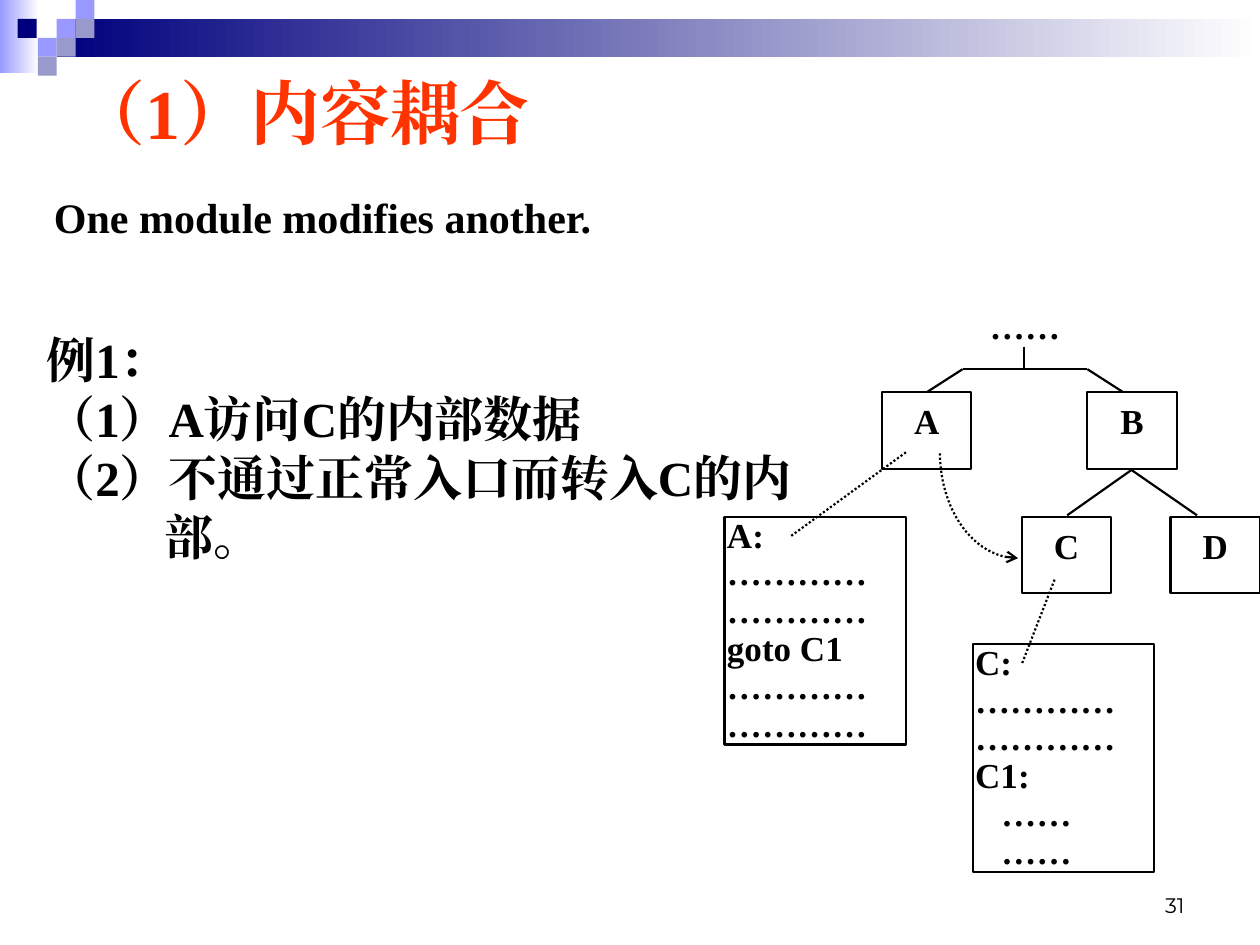
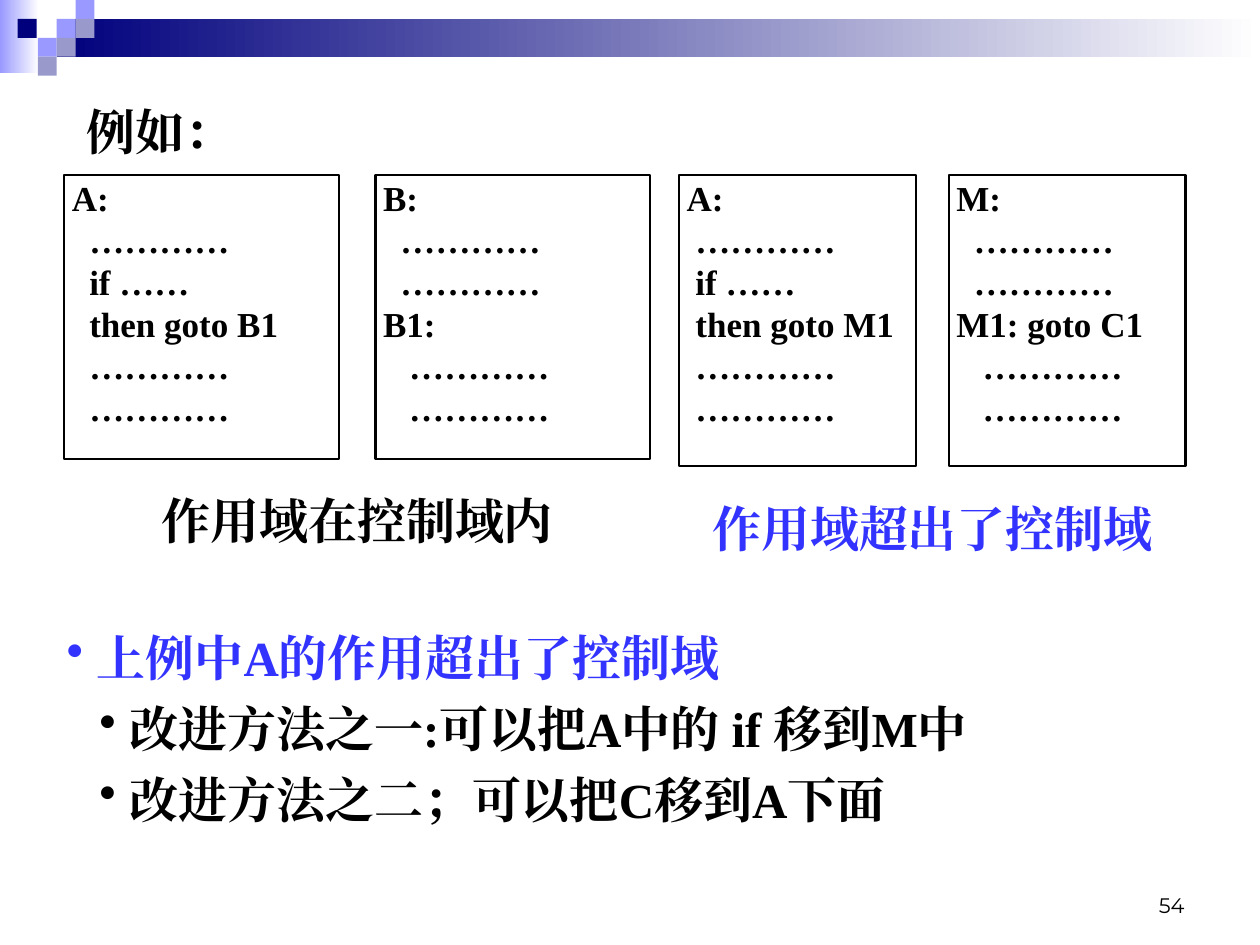
from lxml import etree
from pptx import Presentation
from pptx.dml.color import RGBColor
from pptx.enum.dml import MSO_LINE
from pptx.enum.shapes import MSO_CONNECTOR, MSO_SHAPE
from pptx.enum.text import MSO_ANCHOR, PP_ALIGN
from pptx.oxml.ns import qn
from pptx.util import Inches, Pt

RECT = MSO_SHAPE.RECTANGLE
LINE = MSO_CONNECTOR.STRAIGHT
DOTS = MSO_LINE.ROUND_DOT
TOP, MIDDLE, BOTTOM = MSO_ANCHOR.TOP, MSO_ANCHOR.MIDDLE, MSO_ANCHOR.BOTTOM
LEFT, CENTER, RIGHT = PP_ALIGN.LEFT, PP_ALIGN.CENTER, PP_ALIGN.RIGHT
JUST = PP_ALIGN.JUSTIFY


class Theme:
    black = RGBColor(0x00, 0x00, 0x00)
    white = RGBColor(0xFF, 0xFF, 0xFF)
    navy = RGBColor(0x00, 0x00, 0x7D)
    lilac = RGBColor(0x99, 0x99, 0xFF)
    gray = RGBColor(0x99, 0x99, 0xCC)
    red = RGBColor(0xFF, 0x33, 0x00)
    blue = RGBColor(0x33, 0x33, 0xFF)
    serif, sans = "Times New Roman", "Montserrat"
    title, body, lead, code, foot = Pt(40), Pt(28), Pt(24), Pt(20), Pt(12)
    rule = Pt(1.25)


def write(slide, at, lines, size, color=Theme.black, align=LEFT, anchor=TOP,
          pad=(0.1, 0.05, 0.1, 0.05), framed=False, font=Theme.serif, space=None):
    """Add a text box, or a framed white box, with one paragraph a line."""
    place = [Inches(v) for v in at]
    if framed:
        box = slide.shapes.add_shape(RECT, *place)
        box.shadow.inherit = False
        box.fill.solid()
        box.fill.fore_color.rgb = Theme.white
        box.line.color.rgb = Theme.black
        box.line.width = Theme.rule
    else:
        box = slide.shapes.add_textbox(*place)
    frame = box.text_frame
    frame.word_wrap = True
    frame.vertical_anchor = anchor
    (frame.margin_left, frame.margin_top,
     frame.margin_right, frame.margin_bottom) = [Inches(v) for v in pad]
    for i, line in enumerate(lines):
        para = frame.add_paragraph() if i else frame.paragraphs[0]
        para.alignment = align
        if space:
            para.line_spacing = space
        run = para.add_run()
        run.text = line
        run.font.size = size
        run.font.bold = font == Theme.serif
        run.font.color.rgb = color
        run.font.name = font
        east = etree.SubElement(run.font._element, qn("a:ea"))
        east.set("typeface", font)
    return frame.paragraphs


def link(slide, x1, y1, x2, y2, dash=None):
    """Draw a thin black line, dotted on request."""
    line = slide.shapes.add_connector(
        LINE, Inches(x1), Inches(y1), Inches(x2), Inches(y2))
    line.line.color.rgb = Theme.black
    line.line.width = Theme.rule
    if dash:
        line.line.dash_style = dash
    etree.SubElement(line._element.spPr, qn("a:effectLst"))


deck = Presentation()
deck.slide_width, deck.slide_height = Inches(10), Inches(7.5)

# Shared header band and page number
bands = [(0, 0, 0.31, 0.58, Theme.lilac), (0.45, 0.15, 9.55, 0.3, Theme.navy)]
tiles = [(0.45, 0.15, Theme.lilac), (0.6, 0, Theme.lilac), (0.6, 0.15, Theme.gray),
         (0.3, 0.3, Theme.lilac), (0.14, 0.15, Theme.navy),
         (0.45, 0.3, Theme.gray), (0.3, 0.45, Theme.gray)]
for page in ("31", "54"):
    slide = deck.slides.add_slide(deck.slide_layouts[6])
    for x, y, w, h, color in bands + [(x, y, 0.15, 0.15, c) for x, y, c in tiles]:
        part = slide.shapes.add_shape(RECT, Inches(x), Inches(y), Inches(w), Inches(h))
        part.shadow.inherit = False
        part.line.fill.background()
        if w > 0.15:
            part.fill.gradient()
            part.fill.gradient_angle = 0
            start, end = part.fill.gradient_stops
            start.color.rgb, end.color.rgb = color, Theme.white
        else:
            part.fill.solid()
            part.fill.fore_color.rgb = color
    write(slide, (7.17, 6.83, 2.33, 0.5), [page], Theme.foot, align=RIGHT,
          anchor=BOTTOM, font=Theme.sans)
first, second = deck.slides

# Slide 1: title and text
write(first, (0.5, 0.44, 9, 0.89), ["（1）内容耦合"], Theme.title, Theme.red,
      anchor=MIDDLE)
write(first, (0.33, 1.47, 8.21, 0.5), ["One module modifies another."], Theme.lead)
cases = ["例1：", "（1）A访问C的内部数据", "（2）不通过正常入口而转入C的内部。"]
for para in write(first, (0.27, 2.57, 6.23, 1.97), cases, Theme.body):
    props = para._p.get_or_add_pPr()
    props.set("marL", str(Inches(0.94)))
    props.set("indent", str(-Inches(0.94)))

# Slide 1: module tree
write(first, (7.64, 2.41, 0.99, 0.37), ["……"], Theme.code, align=CENTER,
      pad=(0.06, 0.01, 0.06, 0.01))
for name, x, y in [("A", 7, 3.11), ("B", 8.63, 3.11), ("C", 8.11, 4.1), ("D", 9.29, 4.1)]:
    write(first, (x, y, 0.71, 0.61), [name], Theme.code, align=CENTER,
          pad=(0.02, 0.06, 0.02, 0.02), framed=True)
for ends in [(8.13, 2.75, 8.13, 2.93), (7.64, 2.93, 8.63, 2.93),
             (7.64, 2.93, 7.36, 3.11), (8.63, 2.93, 8.91, 3.11),
             (8.98, 3.73, 8.47, 4.09), (8.98, 3.73, 9.5, 4.09)]:
    link(first, *ends)

# Slide 1: dotted jump from A into C, a cubic curve
knots = [(8.08, 4.43), (7.73, 4.43), (7.46, 4.05), (7.46, 3.59)]
steps = 24
dots = []
for i in range(steps + 1):
    t = i / steps
    parts = ((1 - t) ** 3, 3 * t * (1 - t) ** 2, 3 * t * t * (1 - t), t ** 3)
    dots.append([Inches(sum(p * k[axis] for p, k in zip(parts, knots)))
                 for axis in (0, 1)])
pen = first.shapes.build_freeform(*dots[0])
pen.add_line_segments(dots[1:], close=False)
jump = pen.convert_to_shape()
jump.shadow.inherit = False
jump.fill.background()
jump.line.color.rgb = Theme.black
jump.line.width = Theme.rule
jump.line.dash_style = DOTS
etree.SubElement(jump.line._get_or_add_ln(), qn("a:headEnd")).set("type", "arrow")

# Slide 1: code of A and C
dash = "…………"
for x, y, code in [(5.75, 4.1, ["A:", dash, dash, "goto C1", dash, dash]),
                   (7.72, 5.11, ["C:", dash, dash, "C1:", "   ……", "   ……"])]:
    write(first, (x, y, 1.44, 1.81), code, Theme.code, align=JUST,
          pad=(0.02, 0.01, 0.02, 0.01), framed=True, space=0.9)
link(first, 7.19, 3.59, 6.27, 4.26, DOTS)
link(first, 8.37, 4.6, 8.11, 5.27, DOTS)

# Slide 2: code boxes
write(second, (0.59, 0.76, 8.5, 0.6), ["例如："], Theme.body)
one, two, three = [" " * n + dash for n in (1, 2, 3)]
for x, w, h, code in [
        (0.51, 2.18, 2.25, ["A:", two, "  if ……", "  then goto B1", two, two]),
        (2.98, 2.18, 2.25, ["B:", two, two, "B1:", three, three]),
        (5.39, 1.88, 2.31, ["A:", one, " if ……", " then goto M1", one, one]),
        (7.53, 1.88, 2.31, ["M:", two, two, "M1: goto C1", three, three])]:
    write(second, (x, 1.39, w, h), code, Theme.code, align=JUST,
          pad=(0.06, 0.01, 0.06, 0.01), framed=True)

# Slide 2: captions
write(second, (0.51, 3.84, 4.65, 0.61), ["作用域在控制域内"], Theme.body, align=CENTER)
write(second, (5.39, 3.91, 4.02, 0.63), ["作用域超出了控制域"], Theme.body,
      Theme.blue, align=CENTER)

# Slide 2: bullets, the first one blue
notes = ["上例中A的作用超出了控制域", "改进方法之一:可以把A中的 if 移到M中",
         "改进方法之二；可以把C移到A下面"]
for i, para in enumerate(write(second, (0.43, 4.93, 9.25, 1.7), notes, Theme.body)):
    color = Theme.black if i else Theme.blue
    if i:
        para.level = 1
        para.space_before = Pt(7)
    props = para._p.get_or_add_pPr()
    props.set("marL", str(Inches(0.5 if i else 0.24)))
    props.set("indent", str(-Inches(0.24)))
    tint = etree.SubElement(props, qn("a:buClr"))
    etree.SubElement(tint, qn("a:srgbClr")).set("val", str(color))
    etree.SubElement(props, qn("a:buChar")).set("char", "•")
    para.runs[0].font.color.rgb = color

deck.save("out.pptx")
